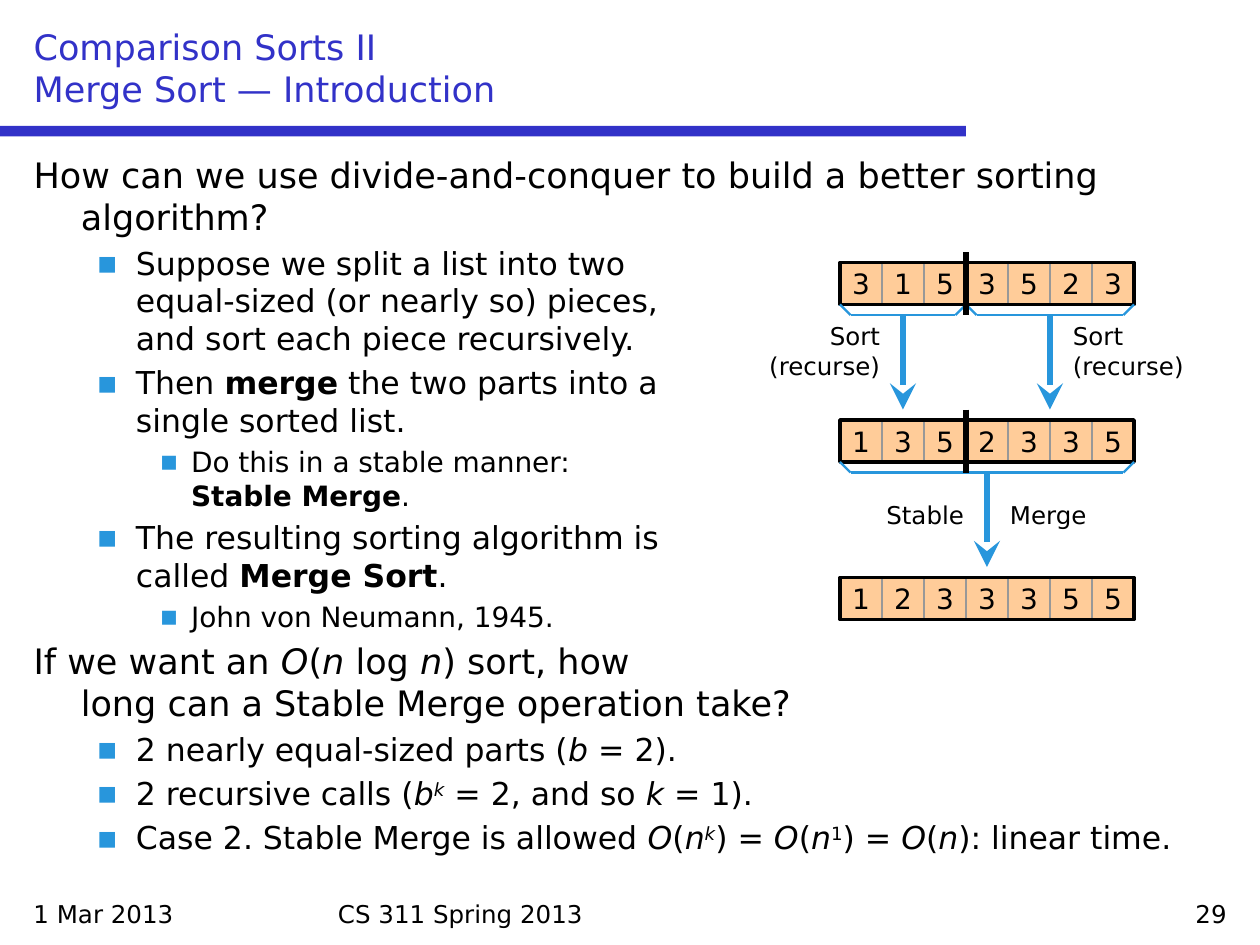
from lxml import etree
from pptx import Presentation
from pptx.dml.color import RGBColor
from pptx.enum import shapes, text
from pptx.oxml import ns
from pptx.util import Pt

COLORS = {
    "black": "000000",
    "title": "3232C8",
    "accent": "2896DC",
    "cell": "FFCC99",
    "grid": "989898",
}
FONT = "DejaVu Sans"
LEVELS = [  # size, left margin, first-line indent
    (20, 27, -27),
    (18, 58.5, -22.5),
    (16, 90, -18),
]
CELL = 24
LIST_LEFT = 480
SPLIT = LIST_LEFT + 3 * CELL
LIST_RIGHT = LIST_LEFT + 7 * CELL
NOTCH = 6
LEFT, CENTER, RIGHT = text.PP_ALIGN.LEFT, text.PP_ALIGN.CENTER, text.PP_ALIGN.RIGHT

# In the wording, * toggles bold, _ italic and ^ superscript.
BODY = [
    (0, "How can we use divide-and-conquer to build a better sorting algorithm?"),
    (1, "Suppose we split a list into two\nequal-sized (or nearly so) pieces,\n"
        "and sort each piece recursively."),
    (1, "Then *merge* the two parts into a\nsingle sorted list."),
    (2, "Do this in a stable manner:\n*Stable Merge*."),
    (1, "The resulting sorting algorithm is\ncalled *Merge Sort*."),
    (2, "John von Neumann, 1945."),
    (0, "If we want an _O_(_n_ log _n_) sort, how\n"
        "long can a Stable Merge operation take?"),
    (1, "2 nearly equal-sized parts (_b_ = 2)."),
    (1, "2 recursive calls (_b^k^_ = 2, and so _k_ = 1)."),
    (1, "Case 2. Stable Merge is allowed _O_(_n^k^_) = _O_(_n_^1^) = _O_(_n_): linear time."),
]


def color(name):
    return RGBColor.from_string(COLORS[name])


def add_child(parent, tag, **attributes):
    return etree.SubElement(parent, ns.qn(tag), attributes)


def write(para, wording, size=14, ink="black", align=LEFT, before=0):
    """Fill a paragraph with marked-up wording."""
    para.alignment = align
    para.space_before = Pt(before)
    marks = {"*": False, "_": False, "^": False}

    def flush(piece):
        if not piece:
            return
        span = para.add_run()
        span.text = piece
        span.font.name = FONT
        span.font.size = Pt(size)
        span.font.color.rgb = color(ink)
        span.font.bold = marks["*"]
        span.font.italic = marks["_"]
        if marks["^"]:
            span.font._element.set("baseline", "30000")

    piece = ""
    for letter in wording:
        if letter in marks or letter == "\n":
            flush(piece)
            piece = ""
            if letter == "\n":
                para.add_line_break()
            else:
                marks[letter] = not marks[letter]
        else:
            piece += letter
    flush(piece)


class SlideBuilder:
    def __init__(self, deck):
        self.page = deck.slides.add_slide(deck.slide_layouts[1])

    def place(self, holder, left, top, width, height, anchor):
        holder.left, holder.top = Pt(left), Pt(top)
        holder.width, holder.height = Pt(width), Pt(height)
        frame = holder.text_frame
        frame.auto_size = text.MSO_AUTO_SIZE.NONE
        frame.vertical_anchor = anchor
        return frame

    def title(self, wording):
        frame = self.place(self.page.shapes.title, 12, 12, 696, 54, text.MSO_ANCHOR.BOTTOM)
        write(frame.paragraphs[0], wording, size=20, ink="title")

    def body(self, items):
        frame = self.place(self.page.placeholders[1], 12, 84, 696, 420, text.MSO_ANCHOR.TOP)
        for index, (level, wording) in enumerate(items):
            para = frame.add_paragraph() if index else frame.paragraphs[0]
            size, margin, indent = LEVELS[level]
            para.level = level
            props = para._p.get_or_add_pPr()
            props.set("marL", str(Pt(margin)))
            props.set("indent", str(Pt(indent)))
            if level:
                add_child(add_child(props, "a:buClr"), "a:srgbClr", val=COLORS["accent"])
                add_child(props, "a:buFont", typeface=FONT)
                add_child(props, "a:buChar", char="▪")
            else:
                add_child(props, "a:buNone")
            write(para, wording, size=size, before=0.2 * size if index else 0)

    def label(self, wording, left, top, width, height, **style):
        box = self.page.shapes.add_textbox(Pt(left), Pt(top), Pt(width), Pt(height))
        box.text_frame.word_wrap = True
        write(box.text_frame.paragraphs[0], wording, **style)

    def rectangle(self, left, top, width, height, fill=None, line=None, weight=1.25):
        box = self.page.shapes.add_shape(
            shapes.MSO_SHAPE.RECTANGLE, Pt(left), Pt(top), Pt(width), Pt(height))
        box.shadow.inherit = False
        if fill:
            box.fill.solid()
            box.fill.fore_color.rgb = color(fill)
        else:
            box.fill.background()
        if line:
            box.line.color.rgb = color(line)
            box.line.width = Pt(weight)
        else:
            box.line.fill.background()
        return box

    def line(self, start, end, ink="accent", weight=1.25, arrow=False):
        link = self.page.shapes.add_connector(
            shapes.MSO_CONNECTOR.STRAIGHT, *map(Pt, start + end))
        link.line.color.rgb = color(ink)
        link.line.width = Pt(weight)
        if arrow:
            add_child(link.line._get_or_add_ln(), "a:tailEnd",
                      type="stealth", w="lg", len="lg")
        add_child(link._element.spPr, "a:effectLst")

    def number_list(self, numbers, top):
        for index, number in enumerate(numbers):
            cell = self.rectangle(LIST_LEFT + index * CELL, top, CELL, CELL, "cell", "grid")
            cell.text_frame.word_wrap = False
            cell.text_frame.vertical_anchor = text.MSO_ANCHOR.MIDDLE
            write(cell.text_frame.paragraphs[0], number, size=16, align=CENTER)
        self.rectangle(LIST_LEFT, top, CELL * len(numbers), CELL, line="black", weight=2)

    def divider(self, list_top):
        self.line((SPLIT, list_top - NOTCH), (SPLIT, list_top + CELL + NOTCH), "black", 3)

    def bracket_arrow(self, left, right, list_top):
        """Bracket part of a list from below, with an arrow down from its middle."""
        top = list_top + CELL
        bottom = top + NOTCH
        middle = (left + right) / 2
        self.line((middle, bottom), (middle, bottom + 54), weight=3, arrow=True)
        self.line((left, top), (left + NOTCH, bottom))
        self.line((left + NOTCH, bottom), (right - NOTCH, bottom))
        self.line((right, top), (right - NOTCH, bottom))


def main():
    deck = Presentation()
    deck.slide_width, deck.slide_height = Pt(720), Pt(540)
    slide = SlideBuilder(deck)

    slide.rectangle(0, 72, 552, 6, fill="title")
    slide.label("1 Mar 2013", 12, 510, 168, 24)
    slide.label("CS 311 Spring 2013", 186, 510, 348, 24)
    slide.label("29", 540, 510, 168, 24, align=RIGHT)
    slide.title("Comparison Sorts II\nMerge Sort — Introduction")
    slide.body(BODY)

    unsorted_top, halves_top, merged_top = 150, 240, 330
    slide.number_list("3153523", unsorted_top)
    slide.number_list("1352335", halves_top)
    slide.number_list("1233355", merged_top)

    slide.bracket_arrow(LIST_LEFT, SPLIT, unsorted_top)
    slide.bracket_arrow(SPLIT, LIST_RIGHT, unsorted_top)
    slide.bracket_arrow(LIST_LEFT, LIST_RIGHT, halves_top)
    slide.divider(unsorted_top)
    slide.divider(halves_top)

    slide.label("Sort (recurse)", 420, 180, 90, 42, align=RIGHT)
    slide.label("Sort (recurse)", 606, 180, 90, 42)
    slide.label("Stable", 468, 282, 90, 24, align=RIGHT)
    slide.label("Merge", 570, 282, 90, 24)

    deck.save("out.pptx")


if __name__ == "__main__":
    main()
